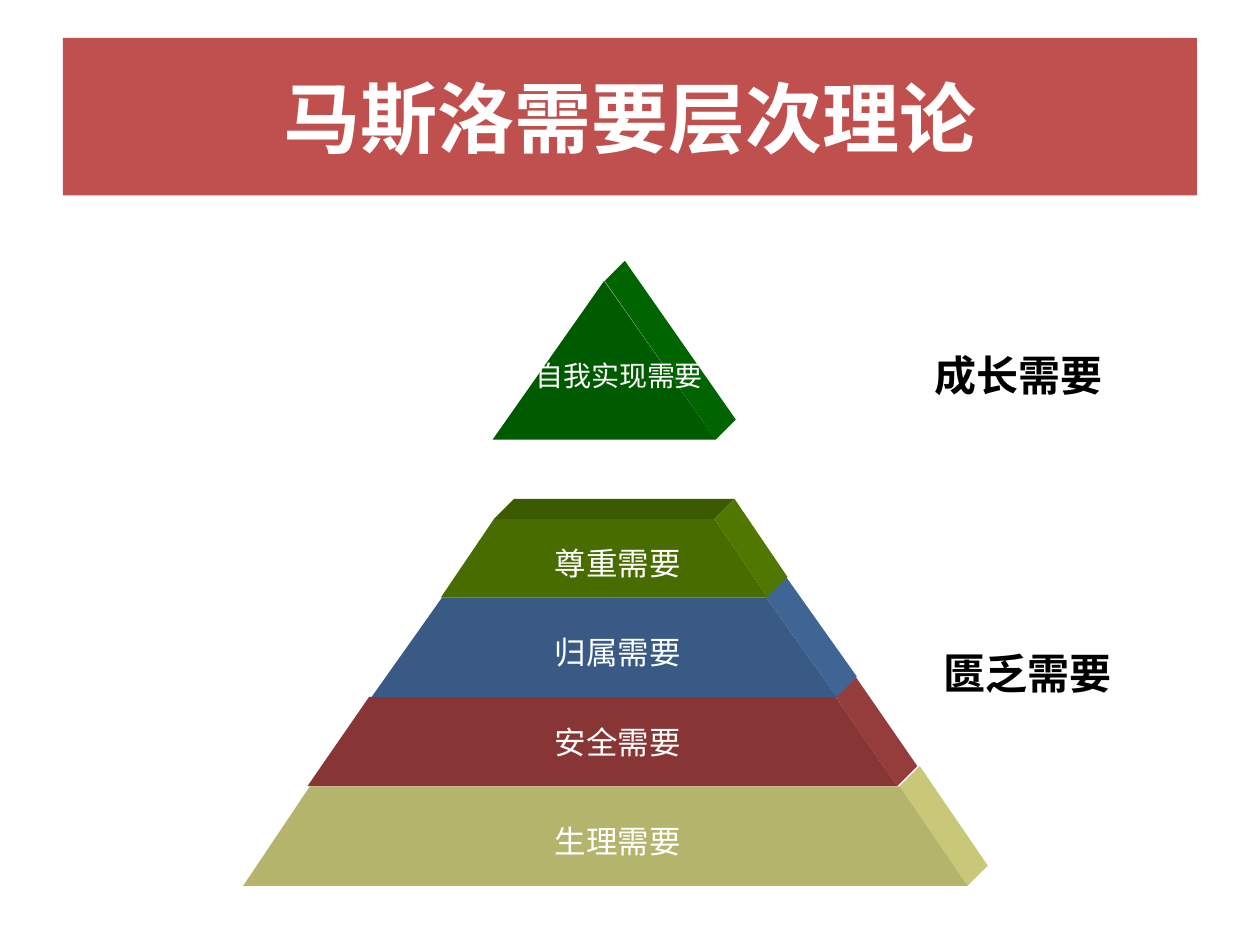
import pptx
import pptx.dml.color
import pptx.enum.shapes
import pptx.enum.text
import pptx.util

Inches = pptx.util.Inches
RGBColor = pptx.dml.color.RGBColor
SHAPE = pptx.enum.shapes.MSO_SHAPE

WHITE = RGBColor(0xFF, 0xFF, 0xFF)
BLACK = RGBColor(0x00, 0x00, 0x00)
RED = RGBColor(0xC0, 0x50, 0x4D)
SAND_FRONT, SAND_SIDE = RGBColor(0xB4, 0xB4, 0x6C), RGBColor(0xC8, 0xC8, 0x78)
RED_FRONT, RED_SIDE = RGBColor(0x88, 0x36, 0x35), RGBColor(0x95, 0x3D, 0x3C)
BLUE_FRONT, BLUE_SIDE = RGBColor(0x38, 0x5A, 0x84), RGBColor(0x3F, 0x65, 0x94)
OLIVE_FRONT, OLIVE_SIDE = RGBColor(0x48, 0x6C, 0x00), RGBColor(0x50, 0x78, 0x00)
OLIVE_TOP = RGBColor(0x3C, 0x5A, 0x00)
GREEN_FRONT, GREEN_SIDE = RGBColor(0x00, 0x5A, 0x00), RGBColor(0x00, 0x64, 0x00)

DEPTH = 0.16
LABEL_SIZE = (2.43, 0.55)


class Slide:
    """Hold the text style and the current slide, and draw its elements."""

    def __init__(self, prs, font):
        self.slide = prs.slides.add_slide(prs.slide_layouts[6])
        self.font = font

    def paint(self, sp, color):
        sp.shadow.inherit = False
        sp.fill.solid()
        sp.fill.fore_color.rgb = color
        sp.line.fill.background()

    def add_text(self, sp, text, size, color, bold=False, wrap=False):
        tf = sp.text_frame
        tf.word_wrap = wrap
        tf.vertical_anchor = pptx.enum.text.MSO_ANCHOR.MIDDLE
        p = tf.paragraphs[0]
        p.alignment = pptx.enum.text.PP_ALIGN.CENTER
        r = p.add_run()
        r.text = text
        values = {"name": self.font, "size": pptx.util.Pt(size), "bold": bold}
        for key, value in values.items():
            setattr(r.font, key, value)
        r.font.color.rgb = color

    def preset(self, kind, box, color):
        sp = self.slide.shapes.add_shape(kind, *map(Inches, box))
        self.paint(sp, color)
        return sp

    def label(self, left, top, text, size, color=WHITE, bold=False):
        box = map(Inches, (left, top, *LABEL_SIZE))
        self.add_text(self.slide.shapes.add_textbox(*box), text, size, color, bold)

    def face(self, points, color):
        start, *rest = [(Inches(x), Inches(y)) for x, y in points]
        builder = self.slide.shapes.build_freeform(*start)
        builder.add_line_segments(rest, close=True)
        self.paint(builder.convert_to_shape(), color)

    def receding(self, a, b, color):
        back = [(x + DEPTH, y - DEPTH) for x, y in (b, a)]
        self.face([a, b, *back], color)

    def tier(self, top, bottom, front, side, lid=None):
        (x1, x2, y1), (x3, x4, y2) = top, bottom
        if lid:
            self.receding((x1, y1), (x2, y1), lid)
        self.receding((x2, y1), (x4, y2), side)
        self.face([(x1, y1), (x2, y1), (x4, y2), (x3, y2)], front)


def main():
    prs = pptx.Presentation()
    prs.slide_width, prs.slide_height = Inches(10), Inches(7.5)
    s = Slide(prs, "Calibri")

    banner = s.preset(SHAPE.RECTANGLE, (0.5, 0.3, 9, 1.25), RED)
    s.add_text(banner, "马斯洛需要层次理论", 44, WHITE, bold=True, wrap=True)

    tiers = [
        ((2.46, 7.14, 6.24), (1.93, 7.68, 7.03), SAND_FRONT, SAND_SIDE),
        ((2.93, 6.63, 5.53), (2.44, 7.12, 6.24), RED_FRONT, RED_SIDE),
        ((3.51, 6.08, 4.74), (2.95, 6.64, 5.53), BLUE_FRONT, BLUE_SIDE),
        ((3.92, 5.67, 4.12), (3.5, 6.09, 4.74), OLIVE_FRONT, OLIVE_SIDE, OLIVE_TOP),
    ]
    for tier in tiers:
        s.tier(*tier)

    s.receding((4.8, 2.23), (5.68, 3.49), GREEN_SIDE)
    s.preset(SHAPE.ISOSCELES_TRIANGLE, (3.91, 2.23, 1.77, 1.26), GREEN_FRONT)

    needs = [("生理需要", 6.4), ("安全需要", 5.61), ("归属需要", 4.9), ("尊重需要", 4.19)]
    for text, top in needs:
        s.label(3.69, top, text, 18)
    s.label(3.7, 2.7, "自我实现需要", 16)
    s.label(6.94, 5.06, "匮乏需要", 24, BLACK, bold=True)
    s.label(6.87, 2.7, "成长需要", 24, BLACK, bold=True)

    prs.save("out.pptx")


if __name__ == "__main__":
    main()
